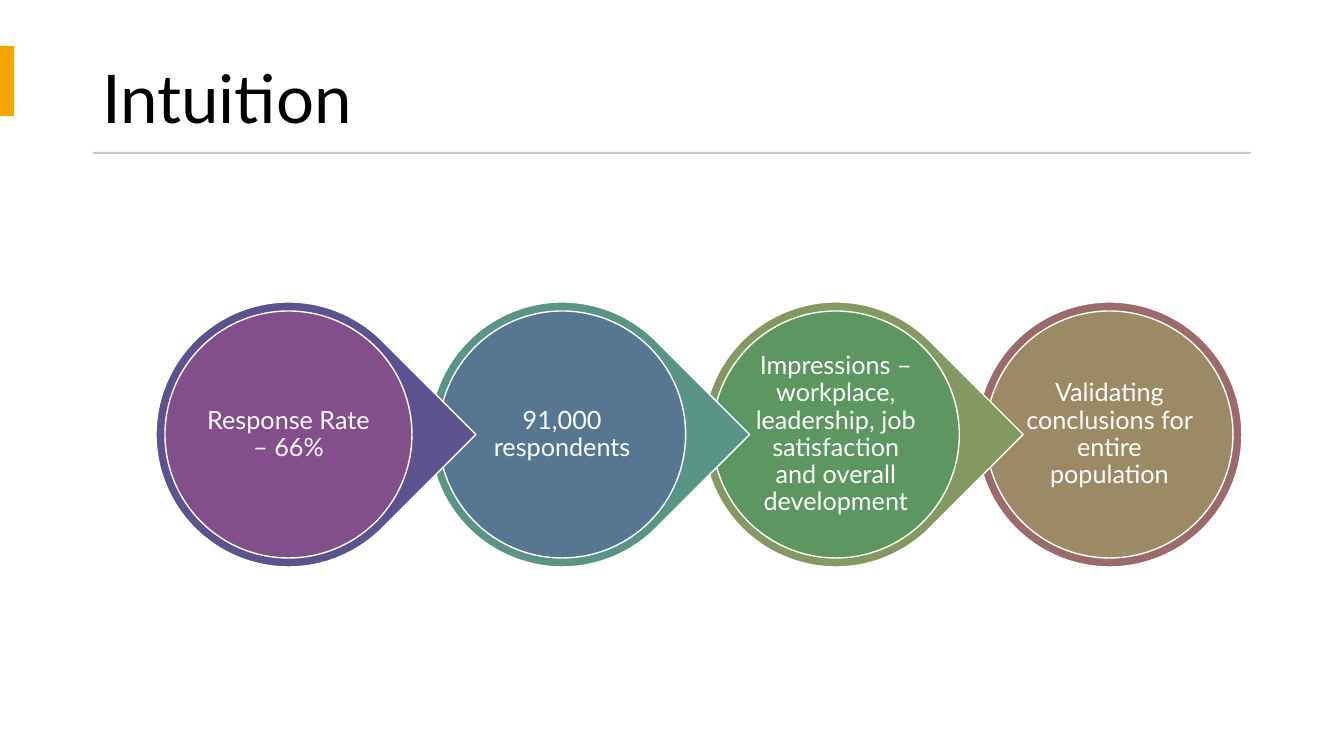
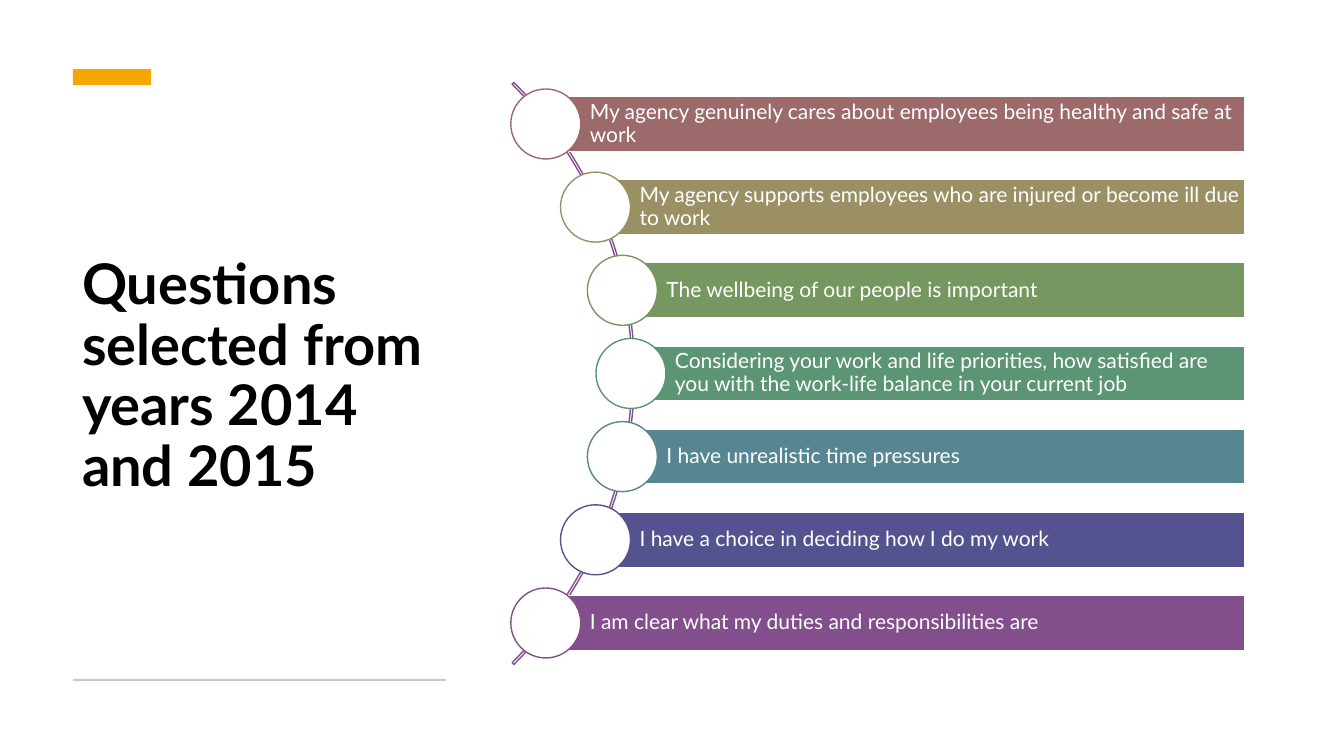
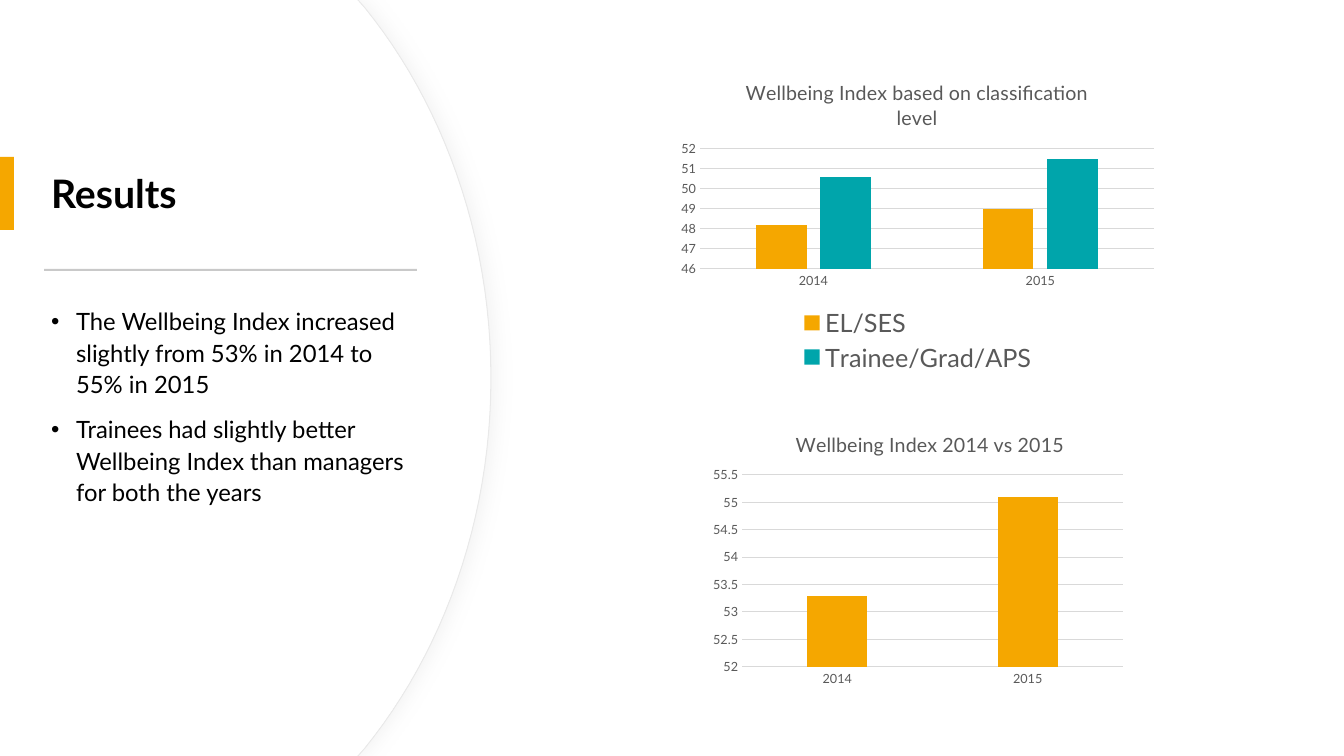
from dataclasses import dataclass
from math import sqrt

from lxml.etree import SubElement
from pptx import Presentation
from pptx.chart.data import CategoryChartData
from pptx.dml.color import RGBColor
from pptx.enum.chart import XL_CHART_TYPE as ChartType, XL_LEGEND_POSITION as LegendPosition, XL_TICK_MARK as TickMark
from pptx.enum.shapes import MSO_SHAPE as Shape
from pptx.enum.text import MSO_ANCHOR as Anchor, MSO_AUTO_SIZE as AutoSize, PP_ALIGN as Align
from pptx.oxml import parse_xml
from pptx.oxml.ns import nsdecls, qn
from pptx.util import Pt

WIDTH, HEIGHT = 1344, 756
SCALE = 12192000 / WIDTH


@dataclass(frozen=True)
class Theme:
    """Colours, font and type sizes shared by the slides."""
    font: str = "Lato"
    ink: str = "000000"
    paper: str = "FFFFFF"
    accent: str = "F5A700"
    teal: str = "00A5AB"
    rule: str = "C9C9C9"
    edge: str = "E9E9E9"
    grid: str = "D9D9D9"
    label: str = "595959"
    purple: str = "824F8C"
    rose: str = "9C6A6A"
    headline: int = 48
    statement: int = 40
    heading: int = 28
    body: int = 17
    disc: int = 18
    bar: int = 15
    chart_title: int = 14
    legend: int = 18
    axis: int = 9


THEME = Theme()


def emu(pixels):
    """Turn px into EMU."""
    return round(pixels * SCALE)


def box_emu(box):
    """Turn a px box into EMU lengths."""
    return [emu(length) for length in box]


def style_font(font, size, colour, bold=False):
    """Set the theme font with a size and colour."""
    font.name, font.size, font.bold = THEME.font, Pt(size), bold
    font.color.rgb = RGBColor.from_string(colour)


def paint(shape, fill=None, line=None, line_width=1):
    """Set fill and outline and drop the shadow."""
    shape.shadow.inherit = False
    if fill:
        shape.fill.solid()
        shape.fill.fore_color.rgb = RGBColor.from_string(fill)
    else:
        shape.fill.background()
    if line:
        shape.line.color.rgb = RGBColor.from_string(line)
        shape.line.width = Pt(line_width)
    else:
        shape.line.fill.background()
    return shape


def add_block(slide, preset, box, fill=None, line=None):
    """Add a painted preset shape."""
    return paint(slide.shapes.add_shape(preset, *box_emu(box)), fill, line)


def write_label(shape, text, size, align, insets):
    """Write white text inside a shape."""
    frame = shape.text_frame
    frame.text, frame.word_wrap, frame.vertical_anchor = text, True, Anchor.MIDDLE
    frame.margin_left, frame.margin_top, frame.margin_right, frame.margin_bottom = box_emu(insets)
    paragraph = frame.paragraphs[0]
    paragraph.alignment, paragraph.line_spacing = align, 0.9
    style_font(paragraph.runs[0].font, size, THEME.paper)


def place(placeholder, box):
    """Move a placeholder to a px box."""
    placeholder.left, placeholder.top, placeholder.width, placeholder.height = box_emu(box)


def add_header(slide, text, box, size, tab, rule, bold=True, spacing=0.9):
    """Place the title with its accent tab and grey rule."""
    add_block(slide, Shape.RECTANGLE, tab, THEME.accent)
    add_block(slide, Shape.RECTANGLE, rule, THEME.rule)
    title = slide.shapes.title
    place(title, box)
    frame = title.text_frame
    frame.text, frame.word_wrap = text, True
    frame.auto_size, frame.vertical_anchor = AutoSize.NONE, Anchor.MIDDLE
    paragraph = frame.paragraphs[0]
    paragraph.alignment, paragraph.line_spacing = Align.LEFT, spacing
    style_font(paragraph.runs[0].font, size, THEME.ink, bold)


def add_disc_chain(slide, box, steps):
    """Draw overlapping drops with labelled discs, the last one plain."""
    left, top, width, diameter = box
    last = len(steps) - 1
    inset = 9
    for index, (text, outer, inner) in reversed(list(enumerate(steps))):
        x = left + (width - diameter) * index / last
        preset = Shape.OVAL if index == last else Shape.TEAR
        drop = add_block(slide, preset, (x, top, diameter, diameter), outer, THEME.paper)
        drop.rotation = 0 if index == last else 45
        size = diameter - 2 * inset
        disc = add_block(slide, Shape.OVAL, (x + inset, top + inset, size, size), inner, THEME.paper)
        write_label(disc, text, THEME.disc, Align.CENTER, (3, 3, 3, 3))


def add_arc_list(slide, box, questions):
    """Draw bars whose round markers follow an arc."""
    left, top, width, height = box
    bar_height, marker, arc_size, radius = 55, 70, 823, 408
    centre_x, centre_y = left - 289, top + height / 2
    pitch = (height - marker) / (len(questions) - 1)
    arc = add_block(slide, Shape.BLOCK_ARC,
                    (centre_x - arc_size / 2, centre_y - arc_size / 2, arc_size, arc_size),
                    line=THEME.purple)
    for index, value in enumerate((189, 27, 0.003)):
        arc.adjustments[index] = value
    for index, (text, colour) in enumerate(questions):
        rise = (index - (len(questions) - 1) / 2) * pitch
        x, y = centre_x + sqrt(radius ** 2 - rise ** 2), centre_y + rise
        bar = add_block(slide, Shape.RECTANGLE,
                        (x, y - bar_height / 2, left + width - x, bar_height), colour, THEME.paper)
        write_label(bar, text, THEME.bar, Align.LEFT, (44, 4, 4, 4))
        add_block(slide, Shape.OVAL, (x - marker / 2, y - marker / 2, marker, marker),
                  THEME.paper, colour)


def add_curved_panel(slide, width, line=None):
    """Draw the white panel with a bulging right side behind all else, shadowed when outlined."""
    controls = [(width - 126, 8), (width - 49, 103), (width, 234), (width, HEIGHT // 2)]
    curve = []
    for step in range(25):
        t = step / 24
        weights = ((1 - t) ** 3, 3 * t * (1 - t) ** 2, 3 * t * t * (1 - t), t ** 3)
        curve.append(tuple(sum(weight * point[axis] for weight, point in zip(weights, controls))
                           for axis in (0, 1)))
    upper = [(width - 133, 0), *curve]
    lower = [(x, HEIGHT - y) for x, y in reversed(upper[:-1])]
    points = [box_emu(point) for point in (*upper, *lower, (0, HEIGHT))]
    builder = slide.shapes.build_freeform(0, 0)
    builder.add_line_segments(points, close=True)
    panel = paint(builder.convert_to_shape(), THEME.paper, line, 0.75)
    slide.shapes.element.insert(2, panel.element)
    if line:
        effects = panel.element.spPr.find(qn("a:effectLst"))
        shadow = SubElement(effects, qn("a:outerShdw"), blurRad=str(Pt(12)), dist=str(Pt(3)), dir="0")
        colour = SubElement(shadow, qn("a:srgbClr"), val=THEME.grid)
        SubElement(colour, qn("a:alpha"), val="30000")


def add_bullets(slide, box, items):
    """Fill the body placeholder with bulleted paragraphs."""
    body = slide.placeholders[1]
    place(body, box)
    frame = body.text_frame
    frame.text, frame.auto_size = "\n".join(items), AutoSize.NONE
    for index, paragraph in enumerate(frame.paragraphs):
        properties = paragraph._p.get_or_add_pPr()
        properties.set("marL", str(emu(25)))
        properties.set("indent", str(emu(-25)))
        SubElement(properties, qn("a:buChar"), char="•")
        paragraph.line_spacing = 1.1
        paragraph.space_before = Pt(10 if index else 0)
        style_font(paragraph.runs[0].font, THEME.body, THEME.ink)


def set_layout(element, index, box, chart_box, inner=False):
    """Fix a chart part at a px box measured on the slide."""
    for layout in element.findall(qn("c:layout")):
        element.remove(layout)
    left, top, width, height = chart_box
    values = ((box[0] - left) / width, (box[1] - top) / height, *(
        length / total for length, total in zip(box[2:], (width, height))))
    target = '<c:layoutTarget val="inner"/>' if inner else ""
    modes = '<c:xMode val="edge"/><c:yMode val="edge"/>'
    sizes = "".join(f'<c:{name} val="{value:.4f}"/>' for name, value in zip("xywh", values))
    element.insert(index, parse_xml(
        f'<c:layout {nsdecls("c")}><c:manualLayout>{target}{modes}{sizes}</c:manualLayout></c:layout>'))


def add_column_chart(slide, box, title, title_at, plot_box, series, scale, legend_box=None):
    """Add a column chart with fixed plot, title and optional legend."""
    data = CategoryChartData()
    data.categories = ["2014", "2015"]
    for name, values, colour in series:
        data.add_series(name, values)
    chart = slide.shapes.add_chart(ChartType.COLUMN_CLUSTERED, *box_emu(box), data).chart
    style_font(chart.font, 10, THEME.ink)
    chart.has_title = True
    heading = chart.chart_title
    heading.text_frame.text = title
    style_font(heading.text_frame.paragraphs[0].runs[0].font, THEME.chart_title, THEME.label)
    set_layout(heading._element, 1, title_at, box)
    set_layout(chart._chartSpace.chart.plotArea, 0, plot_box, box, inner=True)
    plot = chart.plots[0]
    plot.gap_width, plot.overlap, plot.vary_by_categories = 219, -27, False
    for drawn, (name, values, colour) in zip(plot.series, series):
        drawn.format.fill.solid()
        drawn.format.fill.fore_color.rgb = RGBColor.from_string(colour)
    for axis in (chart.category_axis, chart.value_axis):
        axis.major_tick_mark = axis.minor_tick_mark = TickMark.NONE
        style_font(axis.tick_labels.font, THEME.axis, THEME.label)
    value_axis = chart.value_axis
    value_axis.minimum_scale, value_axis.maximum_scale, value_axis.major_unit = scale
    value_axis.format.line.fill.background()
    for line in (chart.category_axis.format.line, value_axis.major_gridlines.format.line):
        line.color.rgb, line.width = RGBColor.from_string(THEME.grid), Pt(0.75)
    chart.has_legend = legend_box is not None
    if legend_box:
        legend = chart.legend
        legend.position, legend.include_in_layout = LegendPosition.BOTTOM, False
        style_font(legend.font, THEME.legend, THEME.label)
        set_layout(legend._element, 1, legend_box, box)


def build_intuition(slide):
    """Build the slide with the chain of discs."""
    add_header(slide, "Intuition", (92, 51, 290, 92), THEME.headline,
               (0, 46, 14, 70), (93, 152, 1158, 2), bold=False, spacing=1.0)
    add_disc_chain(slide, (156, 302, 1086, 265), [
        ("Response Rate – 66%", "5B528F", THEME.purple),
        ("91,000 respondents", "5A9486", "567691"),
        ("Impressions – workplace, leadership, job satisfaction and overall development", "839961", "5D9661"),
        ("Validating conclusions for entire population", THEME.rose, "9B8A65"),
    ])


def build_questions(slide):
    """Build the slide with the arc of questions."""
    add_header(slide, "Questions selected from years 2014 and 2015", (72, 105, 373, 545),
               THEME.statement, (73, 69, 78, 16), (73, 679, 373, 2))
    add_arc_list(slide, (512, 89, 733, 569), [
        ("My agency genuinely cares about employees being healthy and safe at work", THEME.rose),
        ("My agency supports employees who are injured or become ill due to work", "9B9064"),
        ("The wellbeing of our people is important", "769860"),
        ("Considering your work and life priorities, how satisfied are you with the work-life balance "
         "in your current job", "5B9574"),
        ("I have unrealistic time pressures", "578592"),
        ("I have a choice in deciding how I do my work", "55538F"),
        ("I am clear what my duties and responsibilities are", THEME.purple),
    ])


def build_results(slide):
    """Build the slide with findings and two charts."""
    add_curved_panel(slide, 490)
    add_curved_panel(slide, 491, THEME.edge)
    add_header(slide, "Results", (41, 128, 379, 136), THEME.heading,
               (0, 157, 14, 73), (44, 269, 373, 2))
    add_bullets(slide, (41, 299, 379, 354), [
        "The Wellbeing Index increased slightly from 53% in 2014 to 55% in 2015",
        "Trainees had slightly better Wellbeing Index than managers for both the years",
    ])
    add_column_chart(slide, (672, 64, 491, 314), "Wellbeing Index based on classification level",
                     (742, 75), (700, 149, 454, 120),
                     [("EL/SES", (48.2, 49), THEME.accent), ("Trainee/Grad/APS", (50.6, 51.5), THEME.teal)],
                     (46, 52, 1), (798, 304, 240, 72))
    add_column_chart(slide, (705, 414, 427, 278), "Wellbeing Index 2014 vs 2015",
                     (792, 427), (742, 475, 381, 192),
                     [("Series 1", (53.3, 55.1), THEME.accent)], (52, 55.5, 0.5))


def main():
    """Build and save the presentation."""
    presentation = Presentation()
    presentation.slide_width, presentation.slide_height = emu(WIDTH), emu(HEIGHT)
    title_only, title_and_body = presentation.slide_layouts[5], presentation.slide_layouts[1]
    for build, layout in ((build_intuition, title_only), (build_questions, title_only),
                          (build_results, title_and_body)):
        build(presentation.slides.add_slide(layout))
    presentation.save("out.pptx")


if __name__ == "__main__":
    main()
